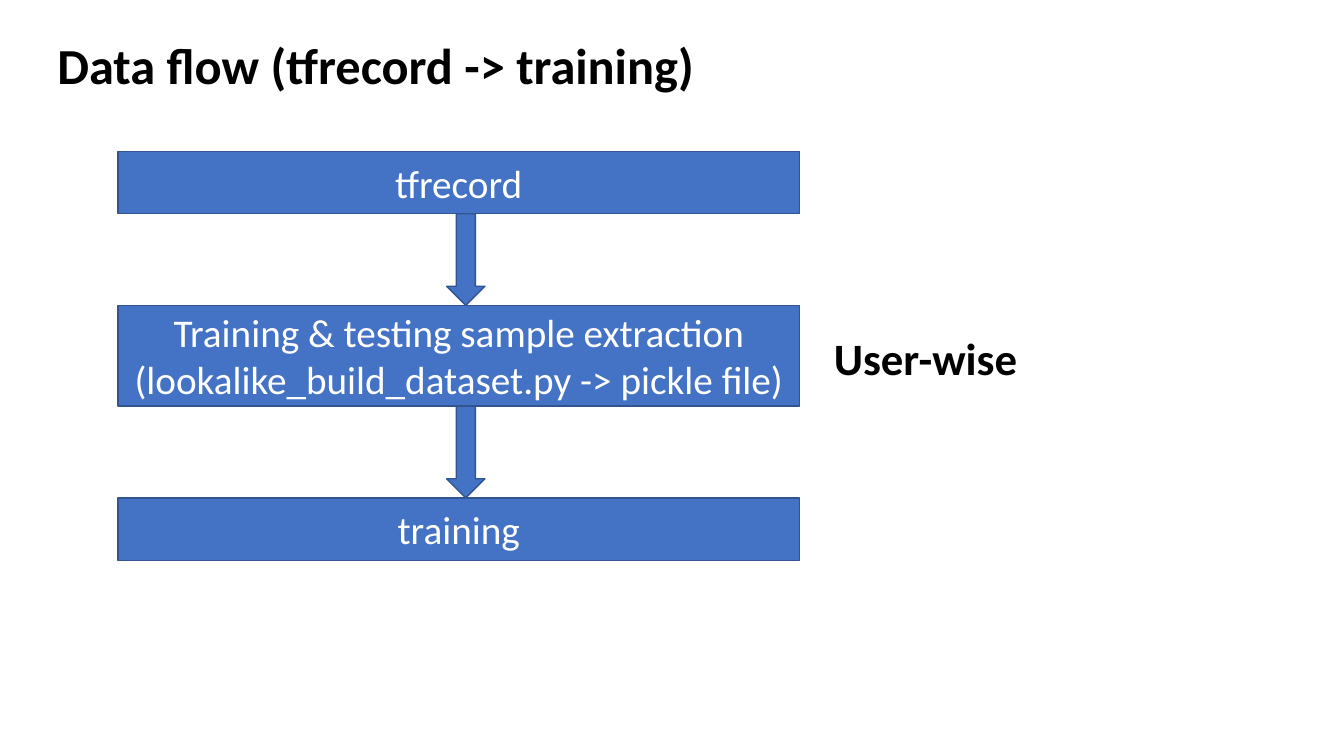
import dataclasses
import pptx
import pptx.util
import pptx.dml.color
import pptx.enum.shapes
import pptx.enum.text

Inches = pptx.util.Inches
Shape = pptx.enum.shapes.MSO_SHAPE
Align = pptx.enum.text.PP_ALIGN


@dataclasses.dataclass(frozen=True)
class Theme:
    font: str = "Calibri"
    ink: str = "000000"
    on_fill: str = "FFFFFF"
    fill: str = "4472C4"
    outline: str = "325491"
    outline_width: float = 1
    title_size: int = 36
    step_size: int = 28
    note_size: int = 32


class FlowSlide:
    def __init__(self, slide, theme):
        self.slide = slide
        self.theme = theme

    def color(self, value):
        return pptx.dml.color.RGBColor.from_string(value)

    def add_text(self, frame, text, size, color, align, bold=False):
        paragraph = frame.paragraphs[0]
        paragraph.alignment = align
        run = paragraph.add_run()
        run.text = text
        run.font.name = self.theme.font
        run.font.size = pptx.util.Pt(size)
        run.font.bold = bold
        run.font.color.rgb = self.color(color)

    def label(self, text, left, top, width, height, size, align):
        box = self.slide.shapes.add_textbox(
            Inches(left), Inches(top), Inches(width), Inches(height))
        box.text_frame.word_wrap = True
        box.text_frame.auto_size = pptx.enum.text.MSO_AUTO_SIZE.SHAPE_TO_FIT_TEXT
        self.add_text(box.text_frame, text, size, self.theme.ink, align, bold=True)

    def block(self, kind, left, top, width, height):
        block = self.slide.shapes.add_shape(
            kind, Inches(left), Inches(top), Inches(width), Inches(height))
        block.shadow.inherit = False
        block.fill.solid()
        block.fill.fore_color.rgb = self.color(self.theme.fill)
        block.line.color.rgb = self.color(self.theme.outline)
        block.line.width = pptx.util.Pt(self.theme.outline_width)
        return block

    def step(self, text, left, top, width, height):
        frame = self.block(Shape.RECTANGLE, left, top, width, height).text_frame
        frame.word_wrap = True
        frame.vertical_anchor = pptx.enum.text.MSO_ANCHOR.MIDDLE
        self.add_text(frame, text, self.theme.step_size, self.theme.on_fill, Align.CENTER)

    def arrow(self, left, top, width, height):
        self.block(Shape.DOWN_ARROW, left, top, width, height)


deck = pptx.Presentation()
deck.slide_width = Inches(13.33)
deck.slide_height = Inches(7.5)
theme = Theme()
flow = FlowSlide(deck.slides.add_slide(deck.slide_layouts[6]), theme)

flow.label("Data flow (tfrecord -> training)", 0.47, 0.29, 6.67, 0.71,
           theme.title_size, Align.LEFT)

STEP_LEFT, STEP_WIDTH = 1.17, 6.76
ARROW_LEFT, ARROW_WIDTH, ARROW_HEIGHT = 4.43, 0.38, 0.91
steps = [
    ("tfrecord", 0.62),
    ("Training & testing sample extraction "
     "(lookalike_build_dataset.py -> pickle file)", 1),
    ("training", 0.62),
]

top = 1.5
for index, (text, height) in enumerate(steps):
    if index:
        flow.arrow(ARROW_LEFT, top, ARROW_WIDTH, ARROW_HEIGHT)
        top += ARROW_HEIGHT
    flow.step(text, STEP_LEFT, top, STEP_WIDTH, height)
    top += height

flow.label("User-wise", 8.08, 3.23, 2.2, 0.64, theme.note_size, Align.CENTER)

deck.save("out.pptx")
